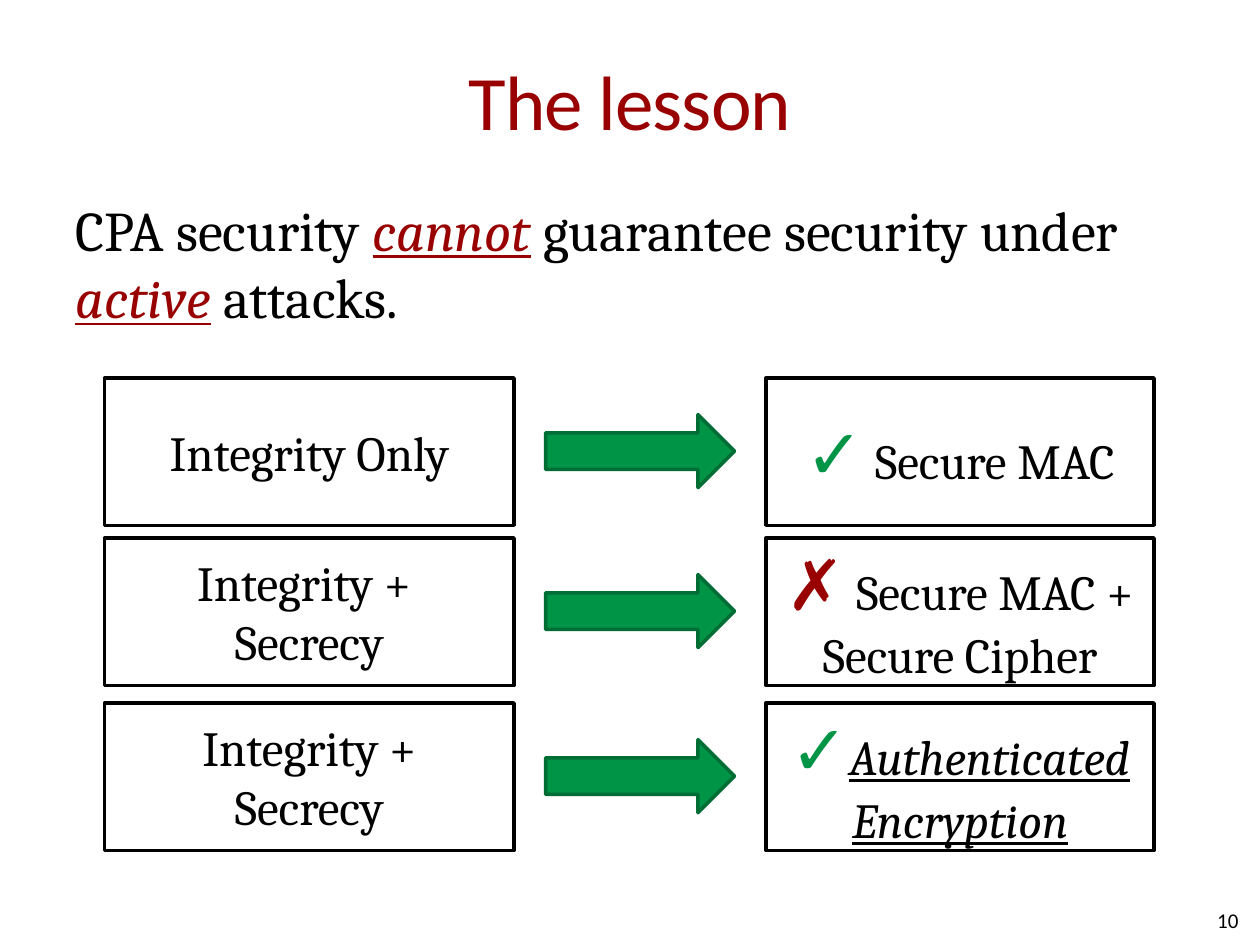
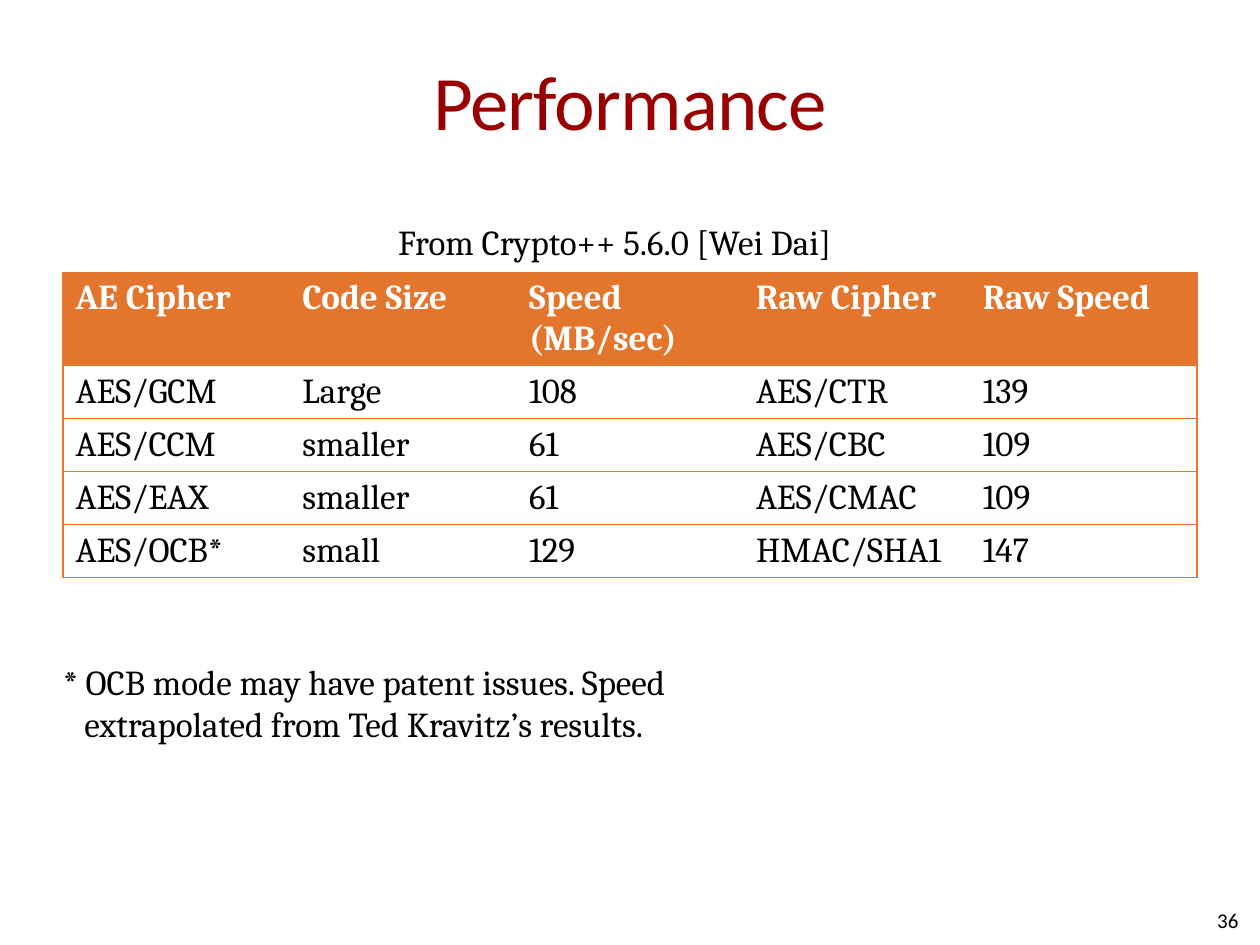
"""Build two slides on authenticated encryption: the lesson and the performance table."""
from lxml.etree import SubElement
from pptx import Presentation
from pptx.dml.color import RGBColor
from pptx.enum.shapes import MSO_SHAPE
from pptx.enum.text import MSO_ANCHOR, MSO_AUTO_SIZE, PP_ALIGN
from pptx.oxml.ns import qn
from pptx.util import Inches, Pt

RED = RGBColor(0x99, 0x00, 0x00)
GREEN = RGBColor(0x00, 0x94, 0x46)
DARK_GREEN = RGBColor(0x00, 0x6D, 0x34)
ORANGE = RGBColor(0xE3, 0x75, 0x2D)
BLACK = RGBColor(0x00, 0x00, 0x00)
WHITE = RGBColor(0xFF, 0xFF, 0xFF)

TITLE = {"name": "Calibri", "size": Pt(44), "color": RED}
NUMBER = {"name": "Calibri", "size": Pt(12), "color": BLACK}
BODY = {"name": "Cambria", "size": Pt(32), "color": BLACK}
STRESSED = BODY | {"color": RED, "italic": True, "underline": True}
LABEL = BODY | {"size": Pt(28)}
TERM = LABEL | {"italic": True, "underline": True}
CHECK = {"name": "Arial", "size": Pt(40), "color": GREEN}
CROSS = CHECK | {"color": RED}
SMALL = BODY | {"size": Pt(20)}
HEADER = SMALL | {"color": WHITE, "bold": True}


def write(text_frame, runs, align=PP_ALIGN.LEFT, anchor=MSO_ANCHOR.TOP, margins=(0, 0)):
    """Fill the frame's first paragraph with (text, format) runs and return it."""
    text_frame.word_wrap = True
    text_frame.auto_size = MSO_AUTO_SIZE.NONE
    text_frame.vertical_anchor = anchor
    text_frame.margin_left = text_frame.margin_right = Inches(margins[0])
    text_frame.margin_top = text_frame.margin_bottom = Inches(margins[1])
    paragraph = text_frame.paragraphs[0]
    paragraph.alignment = align
    for text, text_format in runs:
        for index, line in enumerate(text.split("\n")):
            if index:
                paragraph.add_line_break()
            run = paragraph.add_run()
            run.text = line
            for attribute, value in text_format.items():
                if attribute == "color":
                    run.font.color.rgb = value
                else:
                    setattr(run.font, attribute, value)
    return paragraph


def add_block(slide, kind, box, fill, line):
    """Add a flat preset shape with a 2 pt outline."""
    shape = slide.shapes.add_shape(kind, *map(Inches, box))
    shape.shadow.inherit = False
    shape.fill.solid()
    shape.fill.fore_color.rgb = fill
    shape.line.color.rgb = line
    shape.line.width = Pt(2)
    return shape


presentation = Presentation()
presentation.slide_width = Inches(10)
presentation.slide_height = Inches(7.5)

slides = []
for title_text, number in (("The lesson", "10"), ("Performance", "36")):
    slide = presentation.slides.add_slide(presentation.slide_layouts[5])
    title = slide.shapes.title
    title.left, title.top, title.width, title.height = map(Inches, (0.5, 0.17, 9, 1.25))
    paragraph = write(title.text_frame, [(title_text, TITLE)], PP_ALIGN.CENTER,
                      MSO_ANCHOR.MIDDLE, (0, 0.05))
    paragraph.runs[0].font._element.set("spc", "-50")
    number_box = slide.shapes.add_textbox(*map(Inches, (7.5, 7.1, 2.33, 0.4)))
    write(number_box.text_frame, [(number, NUMBER)], PP_ALIGN.RIGHT, MSO_ANCHOR.MIDDLE)
    slides.append(slide)
lesson, performance = slides

statement = lesson.shapes.add_textbox(*map(Inches, (0.5, 1.5, 9, 1.4)))
write(statement.text_frame, [
    ("CPA security ", BODY), ("cannot", STRESSED), (" guarantee security under ", BODY),
    ("active", STRESSED), (" attacks.", BODY)], margins=(0.1, 0.05))

goals = (
    (3, "Integrity Only", [("✓", CHECK), (" Secure MAC", LABEL)]),
    (4.27, "Integrity + \nSecrecy", [("✗", CROSS), (" Secure MAC + Secure Cipher", LABEL)]),
    (5.58, "Integrity +\nSecrecy", [("✓", CHECK), ("Authenticated Encryption", TERM)]),
)
for top, goal, solution in goals:
    for left, width, runs in ((0.83, 3.25, [(goal, LABEL)]), (6.08, 3.08, solution)):
        block = add_block(lesson, MSO_SHAPE.RECTANGLE, (left, top, width, 1.17), WHITE, BLACK)
        write(block.text_frame, runs, PP_ALIGN.CENTER, MSO_ANCHOR.MIDDLE)
    add_block(lesson, MSO_SHAPE.RIGHT_ARROW, (4.33, top + 0.29, 1.5, 0.58), GREEN, DARK_GREEN)

caption = performance.shapes.add_textbox(*map(Inches, (3.16, 1.75, 3.67, 0.34)))
write(caption.text_frame, [("From Crypto++ 5.6.0 [Wei Dai]", SMALL)])

rows = (
    ("AE Cipher", "Code Size", "Speed\n(MB/sec)", "Raw Cipher", "Raw Speed"),
    ("AES/GCM", "Large", "108", "AES/CTR", "139"),
    ("AES/CCM", "smaller", "61", "AES/CBC", "109"),
    ("AES/EAX", "smaller", "61", "AES/CMAC", "109"),
    ("AES/OCB*", "small", "129", "HMAC/SHA1", "147"),
)
last_column = len(rows[0]) - 1
table = performance.shapes.add_table(len(rows), len(rows[0]),
                                     *map(Inches, (0.5, 2.16, 9, 2.42))).table
for row_index, row in enumerate(rows):
    table.rows[row_index].height = Inches(0.42 if row_index else 0.74)
    for column_index, text in enumerate(row):
        cell = table.cell(row_index, column_index)
        write(cell.text_frame, [(text, SMALL if row_index else HEADER)])
        cell.margin_left = cell.margin_right = Inches(0.1)
        cell.margin_top = cell.margin_bottom = Inches(0.05)
        cell.vertical_anchor = MSO_ANCHOR.TOP
        properties = cell._tc.get_or_add_tcPr()
        borders = {"lnL": column_index == 0, "lnR": column_index == last_column,
                   "lnT": True, "lnB": True}
        for side, visible in borders.items():
            border = SubElement(properties, qn(f"a:{side}"), w=str(Pt(0.75)))
            if visible:
                fill = SubElement(border, qn("a:solidFill"))
                SubElement(fill, qn("a:srgbClr"), val=str(ORANGE))
            else:
                SubElement(border, qn("a:noFill"))
        cell.fill.solid()
        cell.fill.fore_color.rgb = WHITE if row_index else ORANGE

footnote = performance.shapes.add_textbox(*map(Inches, (0.5, 5.24, 5.11, 0.67)))
paragraph = write(footnote.text_frame, [
    ("* OCB mode may have patent issues. Speed\nextrapolated from Ted Kravitz’s results.", SMALL)])
hanging = Inches(0.17)
paragraph_properties = paragraph._p.get_or_add_pPr()
paragraph_properties.set("marL", str(hanging))
paragraph_properties.set("indent", str(-hanging))

presentation.save("out.pptx")
